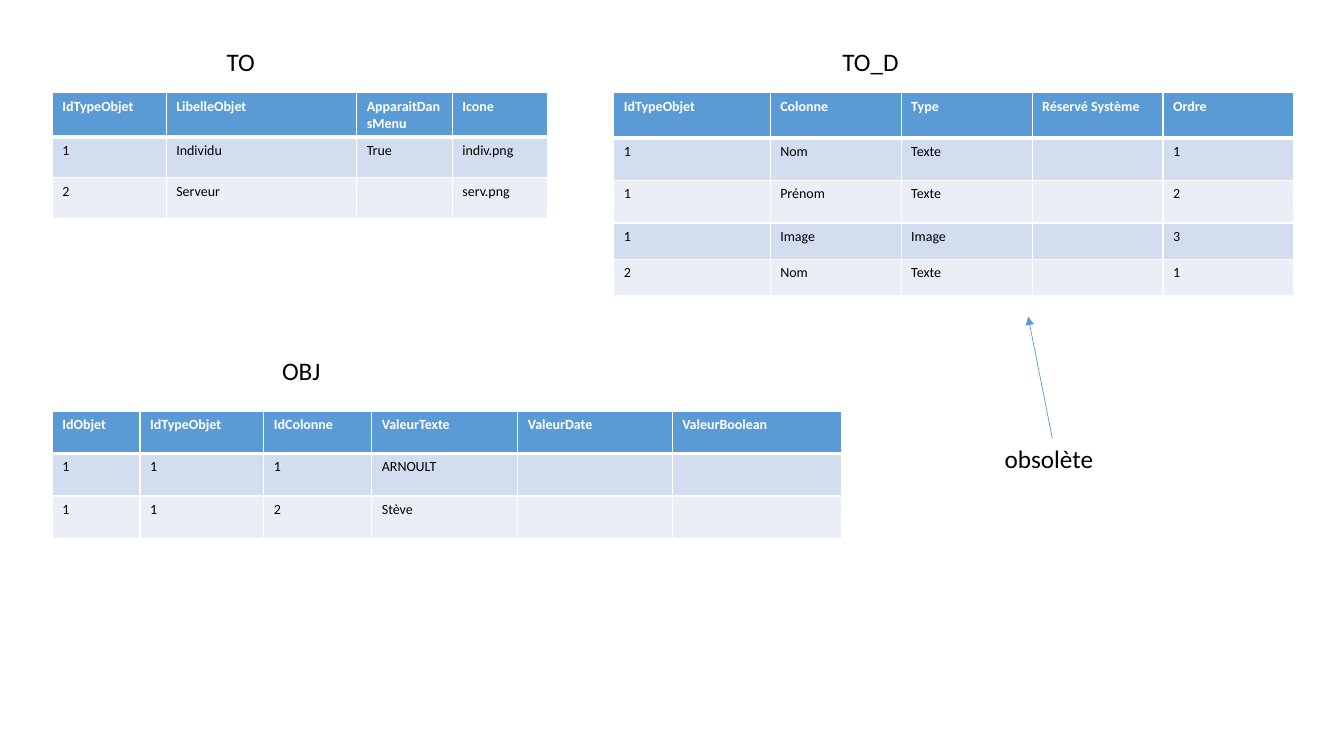
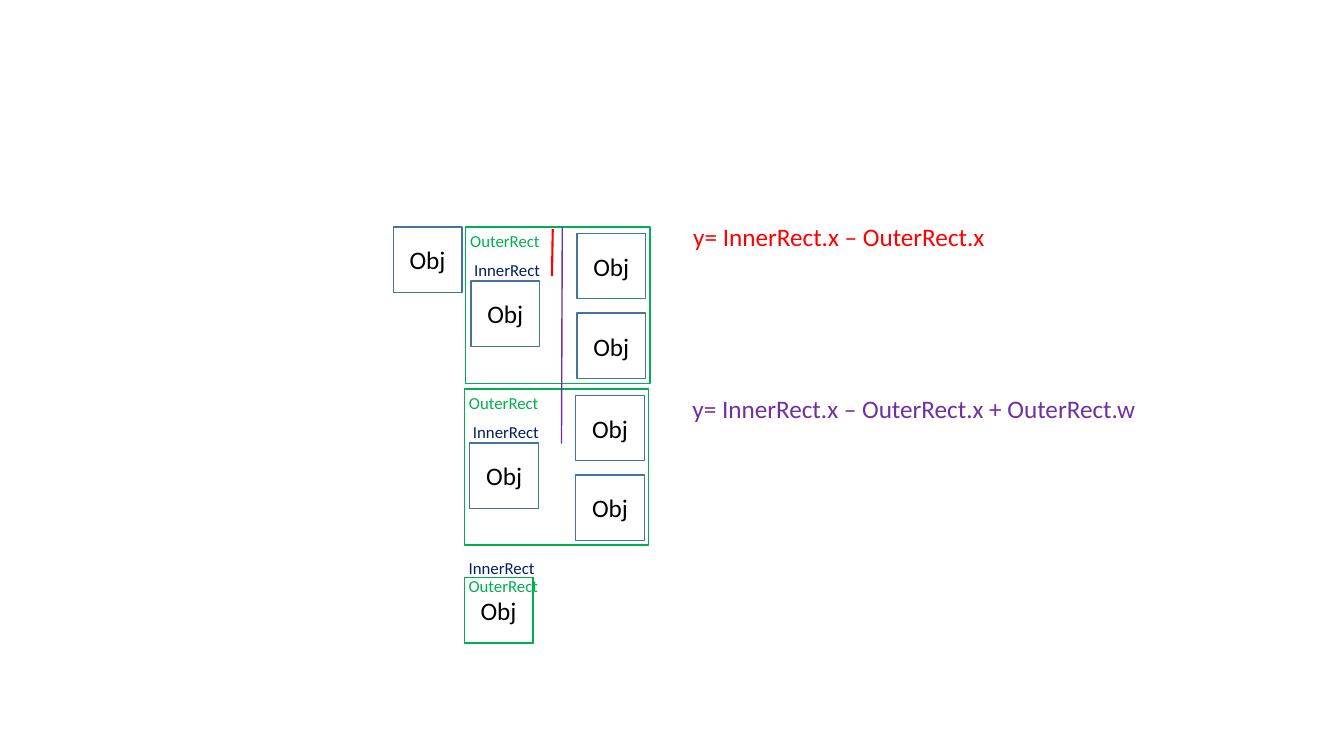
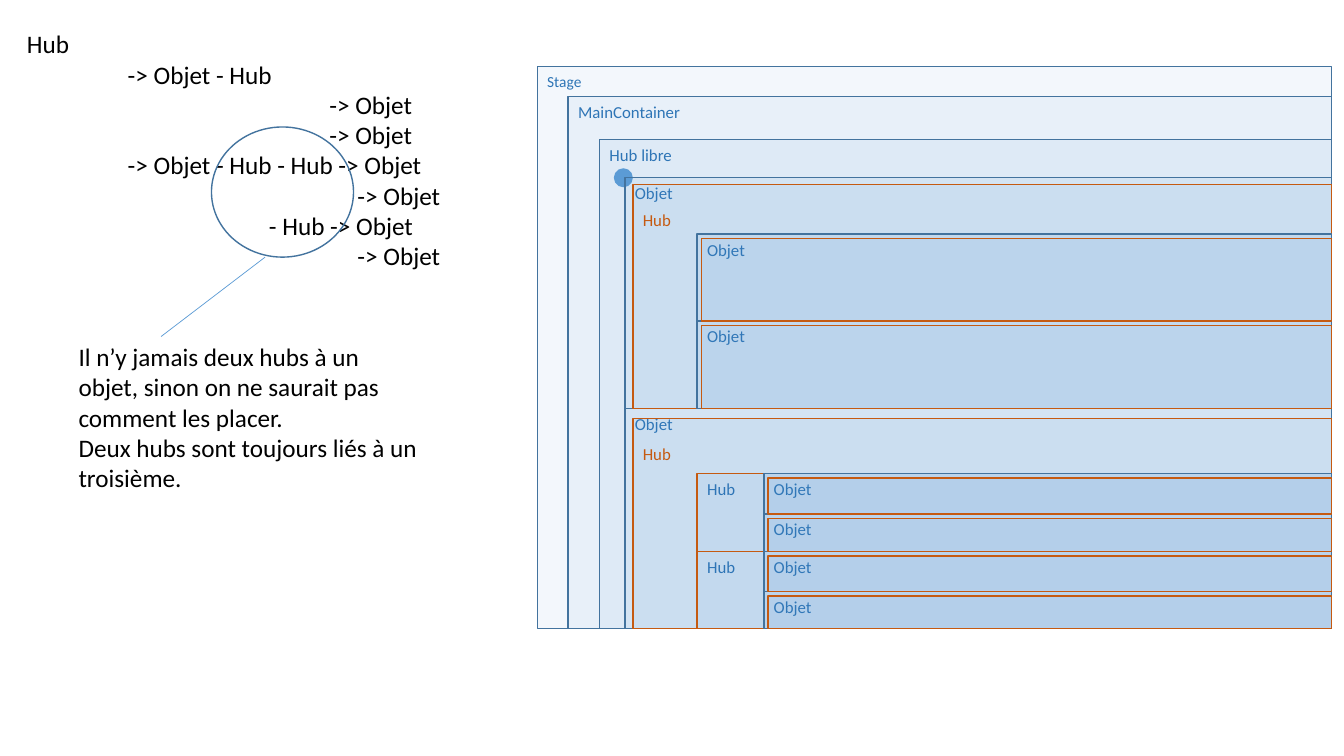
from dataclasses import dataclass

from lxml import etree
from pptx import Presentation
from pptx import util as u
from pptx.dml.color import RGBColor
from pptx.enum import shapes, text
from pptx.oxml import ns
from pptx.slide import Slide

FONT = "Calibri"
COLORS = {
    "black": "000000", "white": "FFFFFF", "blue": "5B9BD5", "edge": "43739E",
    "label": "2E75B6", "band_dark": "D2DEEF", "band_light": "EAEFF7",
    "green": "00B050", "navy": "002060", "red": "FF0000", "purple": "7030A0",
    "orange": "C55A11",
}
BLANK_LAYOUT = 6
LINE_HEIGHT = 1.01
RIGHT, BOTTOM = 33.56, 15.84  # shared edges of the nested panels
PANEL_OPACITY = 7


@dataclass
class Grid:
    """A table: place, column widths and row heights in cm, and its rows."""
    left: float
    top: float
    columns: list[float]
    heights: list[float]
    rows: list[list[str]]


@dataclass
class Label:
    """A text box with one paragraph per line."""
    left: float
    top: float
    width: float
    lines: list[str]
    color: str = "black"
    size: float = 18
    height: float = LINE_HEIGHT
    indents: tuple[float, ...] = ()


@dataclass
class Box:
    """An outlined shape, optionally filled and labelled."""
    left: float
    top: float
    width: float
    height: float
    line: str | None = "edge"
    fill: str | None = None
    opacity: int = 100
    words: str = ""
    color: str = "black"
    size: float = 18
    centred: bool = True
    inset: float = 0.13
    kind: shapes.MSO_SHAPE = shapes.MSO_SHAPE.RECTANGLE


@dataclass
class Panel:
    """A nested container that reaches the shared right edge."""
    left: float
    top: float
    words: str
    bottom: float = BOTTOM
    line: str = "edge"
    color: str = "label"
    size: float = 12
    inset: float = 0.13


@dataclass
class Link:
    """A straight line, from start to end."""
    start: tuple[float, float]
    end: tuple[float, float]
    color: str = "blue"
    width: float = 0.5
    arrow: bool = False


# ---- Drawing helpers ----

def rgb(name: str) -> RGBColor:
    return RGBColor.from_string(COLORS[name])


def add_run(paragraph, words: str, size: float, color: str, bold: bool = False) -> None:
    run = paragraph.add_run()
    run.text = words
    run.font.name = FONT
    run.font.size = u.Pt(size)
    run.font.bold = bold
    run.font.color.rgb = rgb(color)


def add_label(slide: Slide, label: Label) -> None:
    shape = slide.shapes.add_textbox(
        u.Cm(label.left), u.Cm(label.top), u.Cm(label.width), u.Cm(label.height))
    frame = shape.text_frame
    frame.word_wrap = True
    for index, line in enumerate(label.lines):
        paragraph = frame.add_paragraph() if index else frame.paragraphs[0]
        if label.indents:
            properties = paragraph._p.get_or_add_pPr()
            properties.set("marL", str(u.Cm(label.indents[index])))
            properties.set("indent", "0")
        add_run(paragraph, line, label.size, label.color)


def add_box(slide: Slide, box: Box) -> None:
    shape = slide.shapes.add_shape(
        box.kind, u.Cm(box.left), u.Cm(box.top), u.Cm(box.width), u.Cm(box.height))
    shape.shadow.inherit = False
    if box.fill:
        shape.fill.solid()
        shape.fill.fore_color.rgb = rgb(box.fill)
        if box.opacity < 100:
            color = shape.fill._xPr.find(".//" + ns.qn("a:srgbClr"))
            etree.SubElement(color, ns.qn("a:alpha"), val=str(box.opacity * 1000))
    else:
        shape.fill.background()
    if box.line:
        shape.line.color.rgb = rgb(box.line)
        shape.line.width = u.Pt(1)
    else:
        shape.line.fill.background()
    if box.words:
        frame = shape.text_frame
        frame.margin_top = u.Cm(box.inset)
        frame.vertical_anchor = (
            text.MSO_ANCHOR.MIDDLE if box.centred else text.MSO_ANCHOR.TOP)
        paragraph = frame.paragraphs[0]
        paragraph.alignment = text.PP_ALIGN.CENTER if box.centred else text.PP_ALIGN.LEFT
        add_run(paragraph, box.words, box.size, box.color)


def add_panel(slide: Slide, panel: Panel) -> None:
    add_box(slide, Box(
        panel.left, panel.top, RIGHT - panel.left, panel.bottom - panel.top,
        line=panel.line, fill="blue", opacity=PANEL_OPACITY, words=panel.words,
        color=panel.color, size=panel.size, centred=False, inset=panel.inset))


def add_link(slide: Slide, link: Link) -> None:
    connector = slide.shapes.add_connector(
        shapes.MSO_CONNECTOR.STRAIGHT,
        *(u.Cm(value) for value in link.start + link.end))
    connector.line.color.rgb = rgb(link.color)
    connector.line.width = u.Pt(link.width)
    if link.arrow:
        etree.SubElement(connector.line._get_or_add_ln(), ns.qn("a:tailEnd"), type="triangle")
    etree.SubElement(connector._element.spPr, ns.qn("a:effectLst"))


def set_borders(cell, top: float, bottom: float) -> None:
    properties = cell._tc.get_or_add_tcPr()
    widths = {"lnL": 1, "lnR": 1, "lnT": top, "lnB": bottom}
    for index, (side, width) in enumerate(widths.items()):
        line = etree.Element(ns.qn(f"a:{side}"), w=str(u.Pt(width)))
        fill = etree.SubElement(line, ns.qn("a:solidFill"))
        etree.SubElement(fill, ns.qn("a:srgbClr"), val=COLORS["white"])
        properties.insert(index, line)


def add_grid(slide: Slide, grid: Grid) -> None:
    table = slide.shapes.add_table(
        len(grid.rows), len(grid.columns), u.Cm(grid.left), u.Cm(grid.top),
        u.Cm(sum(grid.columns)), u.Cm(sum(grid.heights))).table
    for column, width in zip(table.columns, grid.columns):
        column.width = u.Cm(width)
    for row_index, (row, height) in enumerate(zip(table.rows, grid.heights)):
        row.height = u.Cm(height)
        header = row_index == 0
        fill = "blue" if header else ("band_light", "band_dark")[row_index % 2]
        for cell, words in zip(row.cells, grid.rows[row_index]):
            cell.fill.solid()
            cell.fill.fore_color.rgb = rgb(fill)
            set_borders(cell, top=3 if row_index == 1 else 1, bottom=3 if header else 1)
            paragraph = cell.text_frame.paragraphs[0]
            if words:
                add_run(paragraph, words, 10, "white" if header else "black", header)
            else:
                etree.SubElement(paragraph._p, ns.qn("a:endParaRPr"), sz="1000")


# ---- Slide 1: data tables ----

GRIDS = [
    Grid(1.32, 2.34, [2.87, 4.8, 2.41, 2.41], [1.03] * 3, [
        ["IdTypeObjet", "LibelleObjet", "ApparaitDansMenu", "Icone"],
        ["1", "Individu", "True", "indiv.png"],
        ["2", "Serveur", "", "serv.png"],
    ]),
    Grid(15.47, 2.34, [3.94] + [3.3] * 4, [1.14, 1.07, 1.07, 0.92, 0.92], [
        ["IdTypeObjet", "Colonne", "Type", "Réservé Système", "Ordre"],
        ["1", "Nom", "Texte", "", "1"],
        ["1", "Prénom", "Texte", "", "2"],
        ["1", "Image", "Image", "", "3"],
        ["2", "Nom", "Texte", "", "1"],
    ]),
    Grid(1.32, 10.36, [2.21, 3.12, 2.72, 3.68, 3.89, 4.27], [1.07] * 3, [
        ["IdObjet", "IdTypeObjet", "IdColonne", "ValeurTexte", "ValeurDate", "ValeurBoolean"],
        ["1", "1", "1", "ARNOULT", "", ""],
        ["1", "1", "2", "Stève", "", ""],
    ]),
]
GRID_LABELS = [
    Label(5.46, 1.04, 6.27, ["TO"]),
    Label(20.98, 1.04, 8.2, ["TO_D"]),
    Label(6.86, 8.84, 6.27, ["OBJ"]),
    Label(25.07, 11.05, 6.78, ["obsolète"]),
]


def build_tables(slide: Slide) -> None:
    for grid in GRIDS:
        add_grid(slide, grid)
    for label in GRID_LABELS:
        add_label(slide, label)
    add_link(slide, Link((26.52, 11.05), (25.91, 7.98), arrow=True))


# ---- Slide 2: inner and outer rectangles ----

OBJECT_SIZE = (1.73, 1.65)
OUTER_SIZE = (4.65, 3.94)
OUTER_ORIGINS = [(11.73, 5.72), (11.7, 9.8)]
OBJECT_OFFSETS = [(0.14, 1.36), (2.81, 0.16), (2.81, 2.17)]


def add_object(slide: Slide, left: float, top: float) -> None:
    add_box(slide, Box(left, top, *OBJECT_SIZE, words="Obj"))


def add_rect_name(slide: Slide, left: float, top: float, words: str, color: str) -> None:
    add_label(slide, Label(left, top, 2.4, [words], color, size=12, height=0.76))


def build_rectangles(slide: Slide) -> None:
    add_object(slide, 9.91, 5.72)
    for left, top in OUTER_ORIGINS:
        for across, down in OBJECT_OFFSETS:
            add_object(slide, left + across, top + down)
        add_box(slide, Box(left, top, *OUTER_SIZE, line="green"))
        add_rect_name(slide, left - 0.13, top - 0.04, "OuterRect", "green")
        add_rect_name(slide, left - 0.03, top + 0.71, "InnerRect", "navy")

    # Single object whose two rectangles coincide
    add_object(slide, 11.7, 14.55)
    add_box(slide, Box(11.7, 14.55, *OBJECT_SIZE, line="green"))
    add_rect_name(slide, 11.56, 14.38, "OuterRect", "green")
    add_rect_name(slide, 11.56, 13.92, "InnerRect", "navy")

    # Formulas and the distances they measure
    add_label(slide, Label(17.22, 5.46, 9.4, ["y= InnerRect.x – OuterRect.x"], "red"))
    add_label(slide, Label(
        17.2, 9.78, 14.22, ["y= InnerRect.x – OuterRect.x + OuterRect.w"], "purple"))
    add_link(slide, Link((13.91, 6.96), (13.93, 5.77), "red", 1.5))
    add_link(slide, Link((14.15, 11.18), (14.17, 5.72), "purple", 1))


# ---- Slide 3: hub hierarchy ----

CONTAINERS = [
    Panel(13.54, 1.68, "Stage", size=11),
    Panel(14.32, 2.44, "MainContainer"),
    Panel(15.11, 3.51, "Hub libre"),
]
BRANCHES = [
    Panel(15.75, 10.29, "Objet"),
    Panel(15.75, 4.47, "Objet", 10.29),
    Panel(15.95, 4.65, "Hub", 10.29, line="orange", color="orange", inset=0.64),
    Panel(15.95, 10.54, "Hub", line="orange", color="orange", inset=0.64),
    Panel(17.57, 11.94, "Hub", 13.9, line="orange"),
    Panel(17.57, 13.9, "Hub", line="orange"),
]
LEAVES = [
    Panel(17.57, 5.9, "Objet", 8.09),
    Panel(17.57, 8.09, "Objet", 10.29),
    Panel(19.25, 11.94, "Objet", 12.95),
    Panel(19.25, 12.95, "Objet", 13.9),
    Panel(19.25, 13.9, "Objet", 14.91),
    Panel(19.25, 14.91, "Objet"),
]
LEAF_GAP = 0.11
TREE = [  # indent in cm, line
    (0, "Hub"),
    (2.54, "-> Objet - Hub"),
    (7.62, "-> Objet"),
    (7.62, "-> Objet"),
    (2.54, "-> Objet - Hub - Hub -> Objet"),
    (8.33, "-> Objet"),
    (6.1, "- Hub -> Objet"),
    (8.33, "-> Objet"),
]
REMARK = [
    "Il n’y jamais deux hubs à un objet, sinon on ne saurait pas comment les placer.",
    "Deux hubs sont toujours liés à un troisième.",
]


def build_hierarchy(slide: Slide) -> None:
    indents, lines = zip(*TREE)
    add_label(slide, Label(0.43, 0.6, 11.43, list(lines), height=6.41, indents=indents))

    # Nested panels
    for panel in CONTAINERS:
        add_panel(slide, panel)
    add_box(slide, Box(15.47, 4.24, 0.48, 0.48, line=None, fill="blue",
                       kind=shapes.MSO_SHAPE.OVAL))
    for panel in BRANCHES + LEAVES:
        add_panel(slide, panel)
    for leaf in LEAVES:
        add_panel(slide, Panel(
            leaf.left + LEAF_GAP, leaf.top + LEAF_GAP, "", leaf.bottom, line="orange"))

    # Remark on the circled hubs
    add_label(slide, Label(1.73, 8.48, 9.12, REMARK, height=4.11))
    add_box(slide, Box(5.33, 3.2, 3.58, 3.28, kind=shapes.MSO_SHAPE.OVAL))
    add_link(slide, Link((6.68, 6.48), (4.06, 8.48)))


def main() -> None:
    presentation = Presentation()
    presentation.slide_width = u.Cm(33.87)
    presentation.slide_height = u.Cm(19.05)
    for build in (build_tables, build_rectangles, build_hierarchy):
        build(presentation.slides.add_slide(presentation.slide_layouts[BLANK_LAYOUT]))
    presentation.save("out.pptx")


if __name__ == "__main__":
    main()
